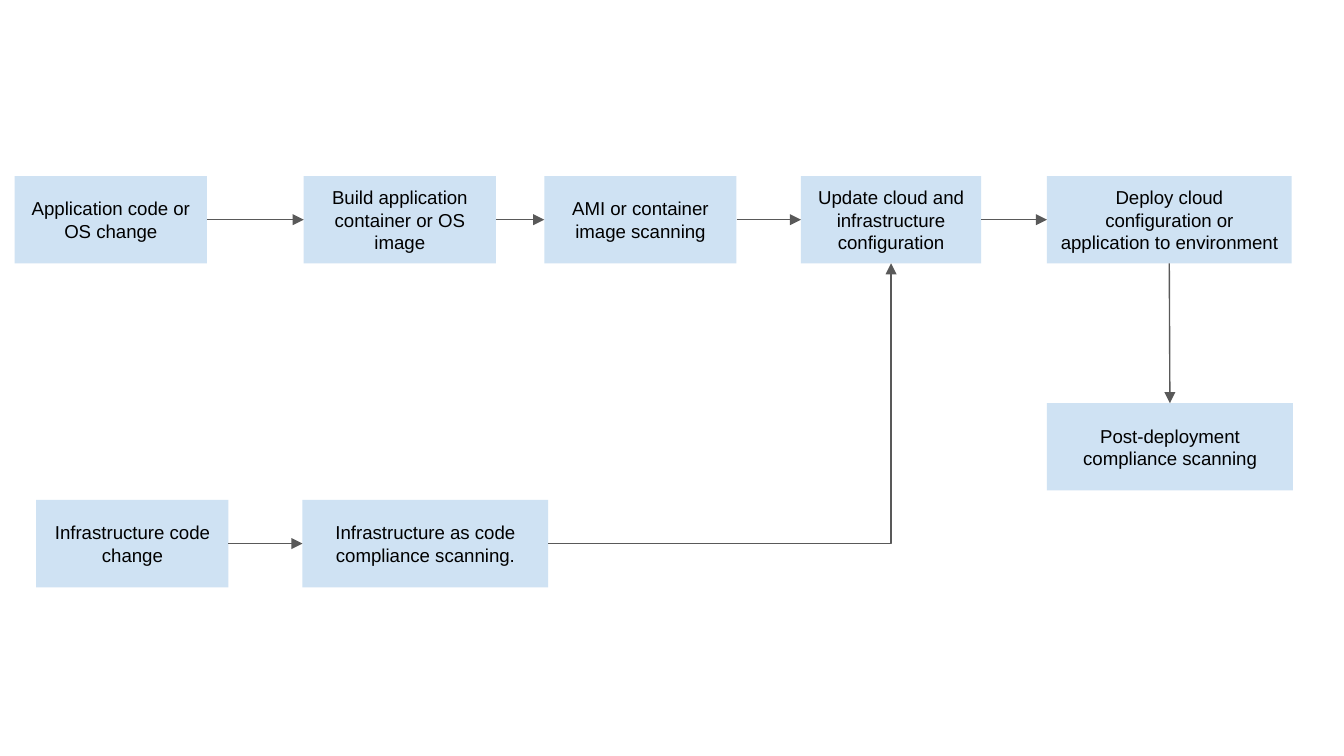
from lxml.etree import SubElement
from pptx import Presentation
from pptx.dml.color import RGBColor
from pptx.enum.shapes import MSO_CONNECTOR, MSO_SHAPE
from pptx.enum.text import MSO_ANCHOR, PP_ALIGN
from pptx.oxml.ns import qn
from pptx.util import Inches, Pt

COLOURS = {"box": "CFE2F3", "text": "000000", "arrow": "595959"}
SLIDE_WIDTH = 10
BOX_HEIGHT = 0.65
TOP, LEFT, BOTTOM, RIGHT = range(4)  # connection sites of a rectangle


def colour(name):
    return RGBColor.from_string(COLOURS[name])


def write_text(shape, text, size=10, font="Arial", fill="text", align=PP_ALIGN.CENTER):
    frame = shape.text_frame
    frame.word_wrap = True
    frame.vertical_anchor = MSO_ANCHOR.MIDDLE
    frame.margin_left = frame.margin_right = Inches(0.1)
    frame.margin_top = frame.margin_bottom = Inches(0.1)
    paragraph = frame.paragraphs[0]
    paragraph.alignment = align
    run = paragraph.add_run()
    run.text = text
    run.font.size = Pt(size)
    run.font.name = font
    run.font.color.rgb = colour(fill)


def add_step(slide, left, top, width, text):
    shape = slide.shapes.add_shape(
        MSO_SHAPE.RECTANGLE, Inches(left), Inches(top), Inches(width), Inches(BOX_HEIGHT))
    shape.shadow.inherit = False
    shape.fill.solid()
    shape.fill.fore_color.rgb = colour("box")
    shape.line.fill.background()
    write_text(shape, text)
    return shape


def add_arrow(slide, source, target, start=RIGHT, end=LEFT, kind=MSO_CONNECTOR.ELBOW):
    def site(shape, index):
        x = {LEFT: 0, RIGHT: shape.width}.get(index, shape.width // 2)
        y = {TOP: 0, BOTTOM: shape.height}.get(index, shape.height // 2)
        return shape.left + x, shape.top + y

    connector = slide.shapes.add_connector(kind, *site(source, start), *site(target, end))
    connector.begin_connect(source, start)
    connector.end_connect(target, end)
    connector.line.color.rgb = colour("arrow")
    connector.line.width = Pt(0.75)
    properties = connector._element.spPr
    SubElement(properties.find(qn("a:ln")), qn("a:tailEnd"), type="triangle")
    SubElement(properties, qn("a:effectLst"))
    if start == RIGHT and end == BOTTOM:  # a single corner
        properties.find(qn("a:prstGeom")).set("prst", "bentConnector2")
    return connector


def add_row(slide, left, top, steps):
    """Place steps (offset, width, text) from the left edge and join neighbours."""
    shapes = [add_step(slide, left + offset, top, width, text)
              for offset, width, text in steps]
    for source, target in zip(shapes, shapes[1:]):
        add_arrow(slide, source, target)
    return shapes


def build_pipeline(slide):
    # Application row
    application = add_row(slide, 0.11, 1.31, [
        (0, 1.43, "Application code or OS change"),
        (2.15, 1.43, "Build application container or OS image"),
        (3.94, 1.43, "AMI or container image scanning"),
        (5.85, 1.34, "Update cloud and infrastructure configuration"),
        (7.68, 1.82, "Deploy cloud configuration or application to environment"),
    ])
    update, deploy = application[-2:]

    # Infrastructure row
    infrastructure = add_row(slide, 0.27, 3.72, [
        (0, 1.43, "Infrastructure code change"),
        (1.98, 1.83, "Infrastructure as code compliance scanning."),
    ])
    add_arrow(slide, infrastructure[-1], update, end=BOTTOM)

    # Check after deployment
    check = add_step(slide, 7.79, 3, 1.83, "Post-deployment compliance scanning")
    add_arrow(slide, deploy, check, BOTTOM, TOP, MSO_CONNECTOR.STRAIGHT)


presentation = Presentation()
presentation.slide_width = Inches(SLIDE_WIDTH)
presentation.slide_height = Inches(SLIDE_WIDTH * 9 / 16)
build_pipeline(presentation.slides.add_slide(presentation.slide_layouts[6]))
presentation.save("out.pptx")
